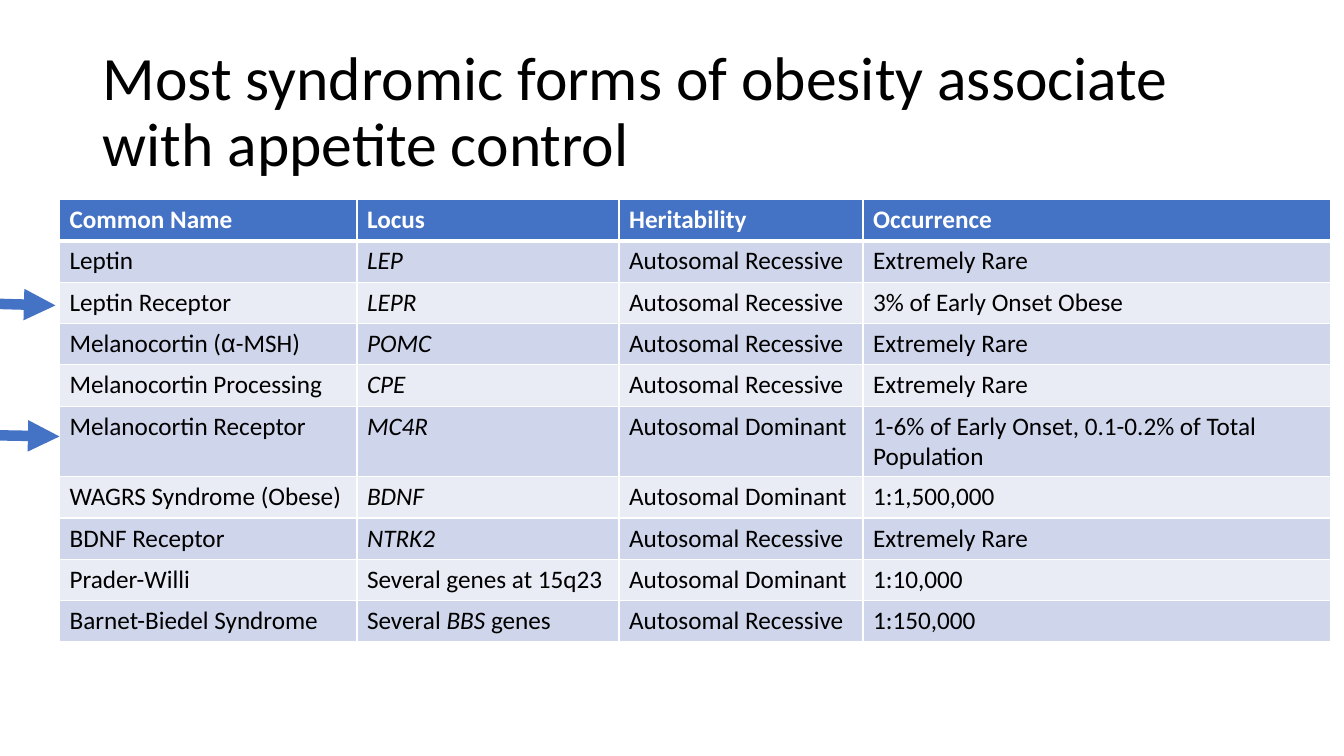
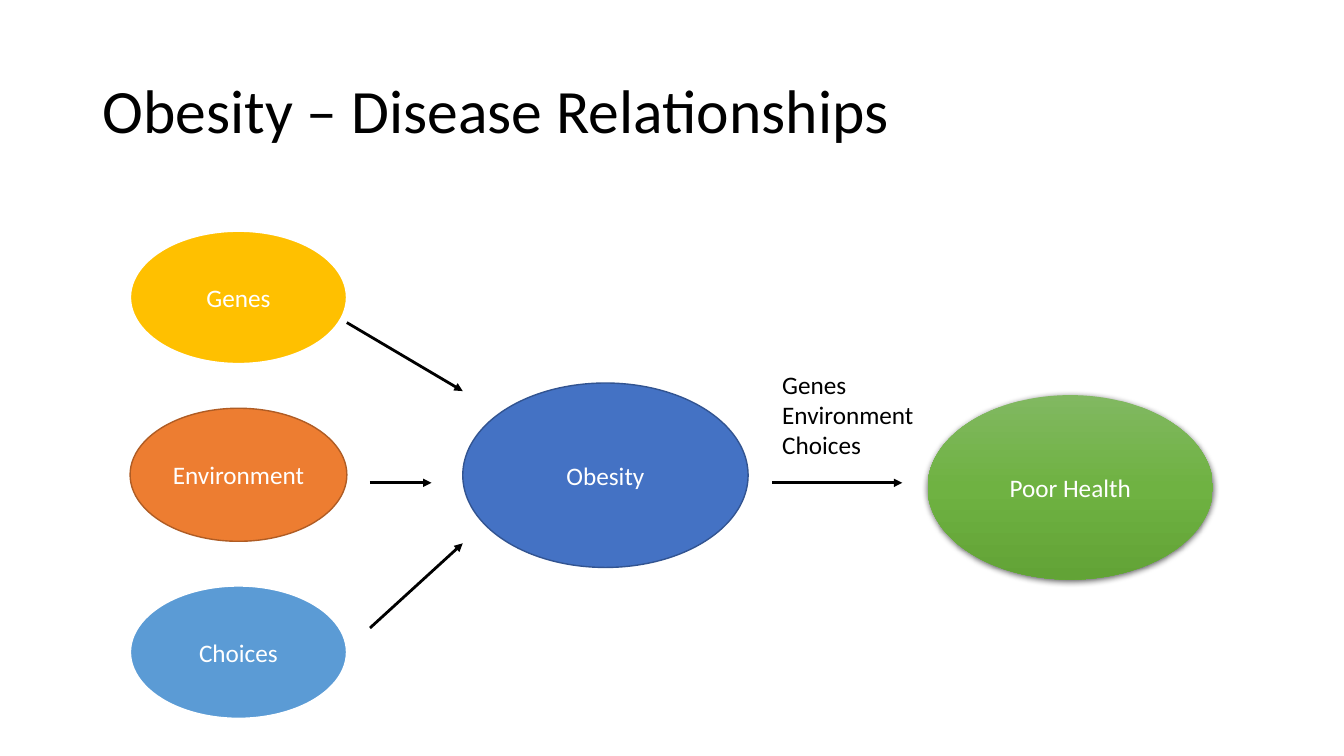
from dataclasses import dataclass
from typing import Optional

from lxml.etree import SubElement
from pptx import Presentation
from pptx.dml.color import RGBColor
from pptx.enum.shapes import MSO_CONNECTOR as Connector, MSO_SHAPE as Shape
from pptx.enum.text import MSO_ANCHOR as Anchor, PP_ALIGN as Align
from pptx.oxml import parse_xml
from pptx.oxml.ns import nsdecls, qn
from pptx.util import Inches, Pt

WHITE = RGBColor(0xFF, 0xFF, 0xFF)
BLACK = RGBColor(0x00, 0x00, 0x00)
BLUE = RGBColor(0x44, 0x72, 0xC4)
DARK_BLUE = RGBColor(0x32, 0x54, 0x91)
LIGHT_BLUE = RGBColor(0x5B, 0x9B, 0xD5)
GOLD = RGBColor(0xFF, 0xC0, 0x00)
ORANGE = RGBColor(0xED, 0x7D, 0x31)
DARK_ORANGE = RGBColor(0xAF, 0x5C, 0x24)
LIGHT_GREEN = RGBColor(0x81, 0xB8, 0x61)
GREEN = RGBColor(0x6F, 0xB2, 0x42)
DARK_GREEN = RGBColor(0x62, 0xA3, 0x36)
BAND_DARK = RGBColor(0xCF, 0xD5, 0xEA)
BAND_LIGHT = RGBColor(0xE9, 0xEB, 0xF5)

BODY_FONT = "Calibri"
BODY_SIZE = 18
ROW_HEIGHT = 0.41
COLUMN_WIDTHS = (2.95, 2.6, 2.42, 4.64)


@dataclass(frozen=True)
class Run:
    """A stretch of text with its own font or slant."""
    text: str
    italic: bool = False
    font: str = BODY_FONT


@dataclass(frozen=True)
class Gene:
    """A table row describing one form of obesity."""
    name: tuple[Run, ...]
    locus: tuple[Run, ...]
    heritability: str
    occurrence: str


@dataclass(frozen=True)
class Oval:
    """A labelled ellipse in the relationship diagram."""
    label: str
    left: float
    top: float
    width: float
    height: float
    fills: tuple[RGBColor, ...]
    outline: Optional[RGBColor] = None
    outline_width: float = 1


@dataclass(frozen=True)
class Arrow:
    """A straight arrow between two points."""
    start: tuple[float, float]
    end: tuple[float, float]
    color: RGBColor = BLACK
    width: float = 2


def gene(name: str, locus: str, heritability: str, occurrence: str) -> Gene:
    """Make a row whose locus is a single italic symbol."""
    return Gene((Run(name),), (Run(locus, italic=True),), heritability, occurrence)


RECESSIVE = "Autosomal Recessive"
DOMINANT = "Autosomal Dominant"
RARE = "Extremely Rare"
HEADINGS = ("Common Name", "Locus", "Heritability", "Occurrence")
GENES = (
    gene("Leptin", "LEP", RECESSIVE, RARE),
    gene("Leptin Receptor", "LEPR", RECESSIVE, "3% of Early Onset Obese"),
    Gene((Run("Melanocortin ("), Run("α", font="Arial"), Run("-MSH)")),
         (Run("POMC", italic=True),), RECESSIVE, RARE),
    gene("Melanocortin Processing", "CPE", RECESSIVE, RARE),
    gene("Melanocortin Receptor", "MC4R", DOMINANT,
         "1-6% of Early Onset, 0.1-0.2% of Total Population"),
    gene("WAGRS Syndrome (Obese)", "BDNF", DOMINANT, "1:1,500,000"),
    gene("BDNF Receptor", "NTRK2", RECESSIVE, RARE),
    Gene((Run("Prader-Willi"),), (Run("Several genes at 15q23"),), DOMINANT, "1:10,000"),
    Gene((Run("Barnet-Biedel Syndrome"),),
         (Run("Several "), Run("BBS", italic=True), Run(" genes")), RECESSIVE, "1:150,000"),
)
ROW_ARROWS = (
    Arrow((-0.51, 4.31), (0.59, 4.33), BLUE, 7.5),
    Arrow((-0.55, 3), (0.55, 3.03), BLUE, 7.5),
)

CAUSES = (
    ("Genes", GOLD, WHITE, 1.5),
    ("Environment", ORANGE, DARK_ORANGE, 1),
    ("Choices", LIGHT_BLUE, WHITE, 1.5),
)
CAUSE_OVALS = tuple(
    Oval(label, 1.29, 2.29 + 1.76 * index, 2.15, 1.32, (fill,), outline, width)
    for index, (label, fill, outline, width) in enumerate(CAUSES)
)
OUTCOME_OVALS = (
    Oval("Obesity", 4.59, 3.8, 2.83, 1.83, (BLUE,), DARK_BLUE),
    Oval("Poor Health", 9.2, 3.92, 2.83, 1.83, (LIGHT_GREEN, GREEN, DARK_GREEN)),
)
DIAGRAM_ARROWS = (
    Arrow((3.44, 3.2), (4.59, 3.88)),
    Arrow((3.67, 4.79), (4.28, 4.79)),
    Arrow((3.67, 6.23), (4.59, 5.39)),
    Arrow((7.66, 4.79), (8.95, 4.79)),
)


def write(paragraph, *runs: Run, size: float = BODY_SIZE, color: RGBColor = BLACK,
          bold: bool = False, align: Align = Align.LEFT, spacing: float = 1.0) -> None:
    """Fill a paragraph with formatted runs."""
    paragraph.alignment = align
    paragraph.line_spacing = spacing
    for part in runs:
        run = paragraph.add_run()
        run.text = part.text
        run.font.name = part.font
        run.font.size = Pt(size)
        run.font.bold = bold
        run.font.italic = part.italic
        run.font.color.rgb = color


def add_text(slide, box: tuple[float, float, float, float], *lines: str,
             anchor: Anchor = Anchor.TOP, **text_format) -> None:
    """Add a text box with one paragraph per line."""
    frame = slide.shapes.add_textbox(*map(Inches, box)).text_frame
    frame.word_wrap = True
    frame.vertical_anchor = anchor
    for index, line in enumerate(lines):
        paragraph = frame.add_paragraph() if index else frame.paragraphs[0]
        write(paragraph, Run(line), **text_format)


def add_titled_slide(presentation, title: str):
    """Add a blank slide carrying the shared title style."""
    slide = presentation.slides.add_slide(presentation.slide_layouts[6])
    add_text(slide, (0.92, 0.4, 11.5, 1.45), title,
             anchor=Anchor.MIDDLE, size=44, spacing=0.9)
    return slide


def add_arrow(slide, arrow: Arrow) -> None:
    """Draw an arrow with a triangular head."""
    connector = slide.shapes.add_connector(
        Connector.STRAIGHT, *map(Inches, arrow.start + arrow.end))
    connector.line.color.rgb = arrow.color
    connector.line.width = Pt(arrow.width)
    SubElement(connector.line._get_or_add_ln(), qn("a:tailEnd"), type="triangle")
    SubElement(connector._element.spPr, qn("a:effectLst"))


def set_gradient(shape, colors: tuple[RGBColor, ...]) -> None:
    """Fill a shape from top to bottom with evenly spaced colours."""
    shape.fill.gradient()
    gradient = shape._element.spPr.find(qn("a:gradFill"))
    step = 100000 // (len(colors) - 1)
    stops = "".join(
        f'<a:gs pos="{index * step}"><a:srgbClr val="{color}"/></a:gs>'
        for index, color in enumerate(colors))
    gradient.getparent().replace(gradient, parse_xml(
        f'<a:gradFill {nsdecls("a")} rotWithShape="1"><a:gsLst>{stops}</a:gsLst>'
        '<a:lin ang="5400000" scaled="0"/></a:gradFill>'))


def add_soft_shadow(shape) -> None:
    """Give a shape a blurred shadow just below it."""
    shape._element.spPr.find(qn("a:effectLst")).append(parse_xml(
        f'<a:outerShdw {nsdecls("a")} blurRad="{Pt(4.5)}" dist="{Pt(1.5)}" '
        'dir="5400000" algn="ctr" rotWithShape="0"><a:srgbClr val="000000">'
        '<a:alpha val="63000"/></a:srgbClr></a:outerShdw>'))


def add_oval(slide, oval: Oval) -> None:
    """Draw a labelled ellipse; several fills make a shaded one."""
    box = (oval.left, oval.top, oval.width, oval.height)
    shape = slide.shapes.add_shape(Shape.OVAL, *map(Inches, box))
    shape.shadow.inherit = False
    if oval.outline is None:
        shape.line.fill.background()
    else:
        shape.line.color.rgb = oval.outline
        shape.line.width = Pt(oval.outline_width)
    if len(oval.fills) > 1:
        set_gradient(shape, oval.fills)
        add_soft_shadow(shape)
    else:
        shape.fill.solid()
        shape.fill.fore_color.rgb = oval.fills[0]
    shape.text_frame.vertical_anchor = Anchor.MIDDLE
    write(shape.text_frame.paragraphs[0], Run(oval.label), color=WHITE, align=Align.CENTER)


def style_cell(cell, fill: RGBColor, top: float = 1, bottom: float = 1) -> None:
    """Set the white borders and the fill of a cell."""
    properties = cell._tc.get_or_add_tcPr()
    for side, width in (("L", 1), ("R", 1), ("T", top), ("B", bottom)):
        properties.append(parse_xml(
            f'<a:ln{side} {nsdecls("a")} w="{Pt(width)}"><a:solidFill>'
            f'<a:srgbClr val="{WHITE}"/></a:solidFill></a:ln{side}>'))
    cell.fill.solid()
    cell.fill.fore_color.rgb = fill


def add_gene_table(slide) -> None:
    """Add the banded table of genes."""
    row_count = len(GENES) + 1
    table = slide.shapes.add_table(
        row_count, len(HEADINGS), Inches(0.59), Inches(1.98),
        Inches(sum(COLUMN_WIDTHS)), Inches(ROW_HEIGHT * row_count)).table
    for column, width in zip(table.columns, COLUMN_WIDTHS):
        column.width = Inches(width)
    for row in table.rows:
        row.height = Inches(ROW_HEIGHT)
    for cell, heading in zip(table.rows[0].cells, HEADINGS):
        style_cell(cell, BLUE, bottom=3)
        write(cell.text_frame.paragraphs[0], Run(heading), color=WHITE, bold=True)
    for index, entry in enumerate(GENES, start=1):
        contents = (entry.name, entry.locus,
                    (Run(entry.heritability),), (Run(entry.occurrence),))
        for cell, runs in zip(table.rows[index].cells, contents):
            style_cell(cell, BAND_DARK if index % 2 else BAND_LIGHT,
                       top=3 if index == 1 else 1)
            write(cell.text_frame.paragraphs[0], *runs)


def build_syndromes(presentation) -> None:
    """Build the slide on syndromic forms of obesity."""
    slide = add_titled_slide(
        presentation, "Most syndromic forms of obesity associate with appetite control")
    add_gene_table(slide)
    for arrow in ROW_ARROWS:
        add_arrow(slide, arrow)


def build_relationships(presentation) -> None:
    """Build the slide on causes and outcomes of obesity."""
    slide = add_titled_slide(presentation, "Obesity – Disease Relationships")
    for oval in CAUSE_OVALS + OUTCOME_OVALS:
        add_oval(slide, oval)
    for arrow in DIAGRAM_ARROWS:
        add_arrow(slide, arrow)
    add_text(slide, (7.66, 3.61, 1.54, 1.01), *(cause[0] for cause in CAUSES))


def main() -> None:
    """Build and save the presentation."""
    presentation = Presentation()
    presentation.slide_width = Inches(13.33)
    presentation.slide_height = Inches(7.5)
    build_syndromes(presentation)
    build_relationships(presentation)
    presentation.save("out.pptx")


if __name__ == "__main__":
    main()
